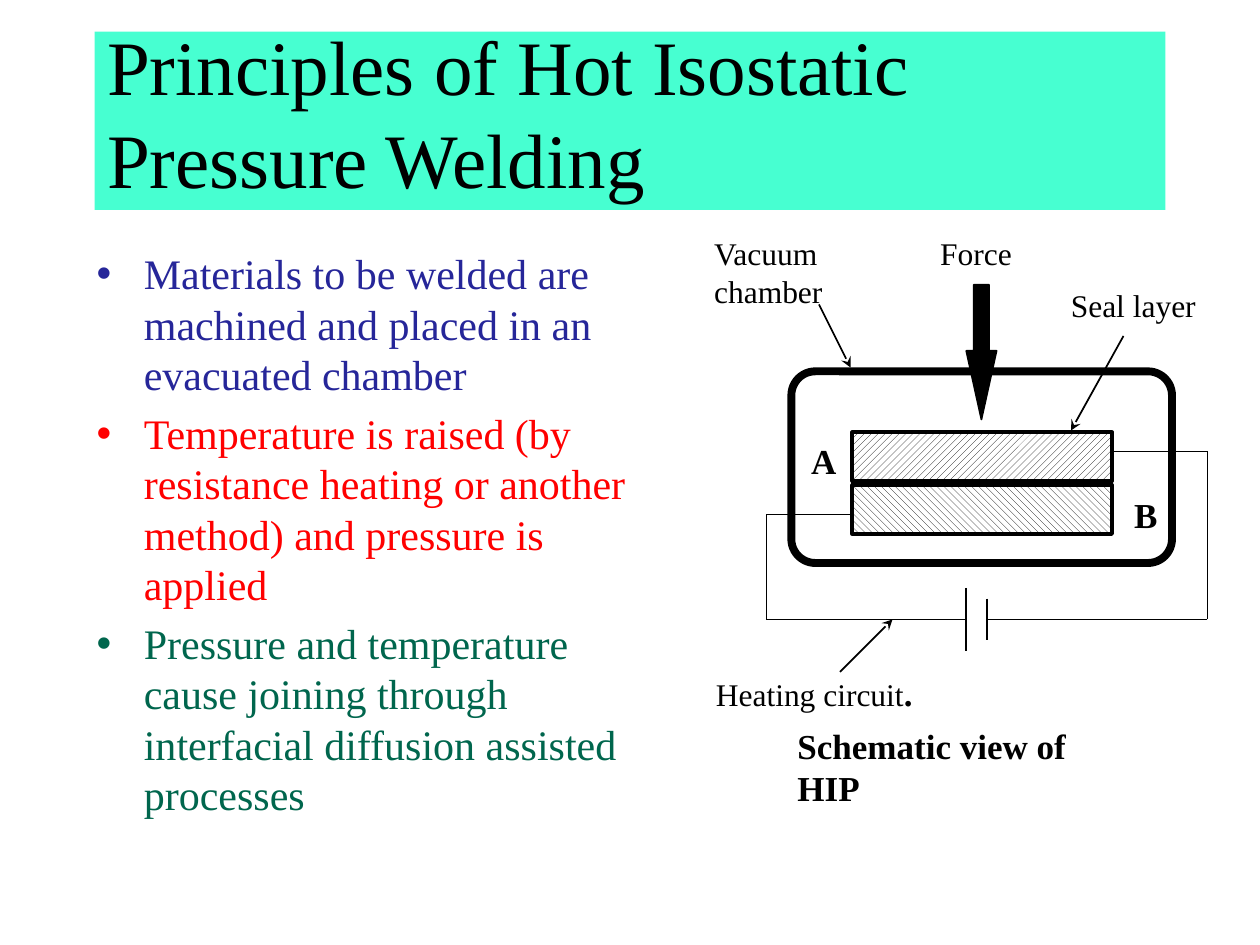
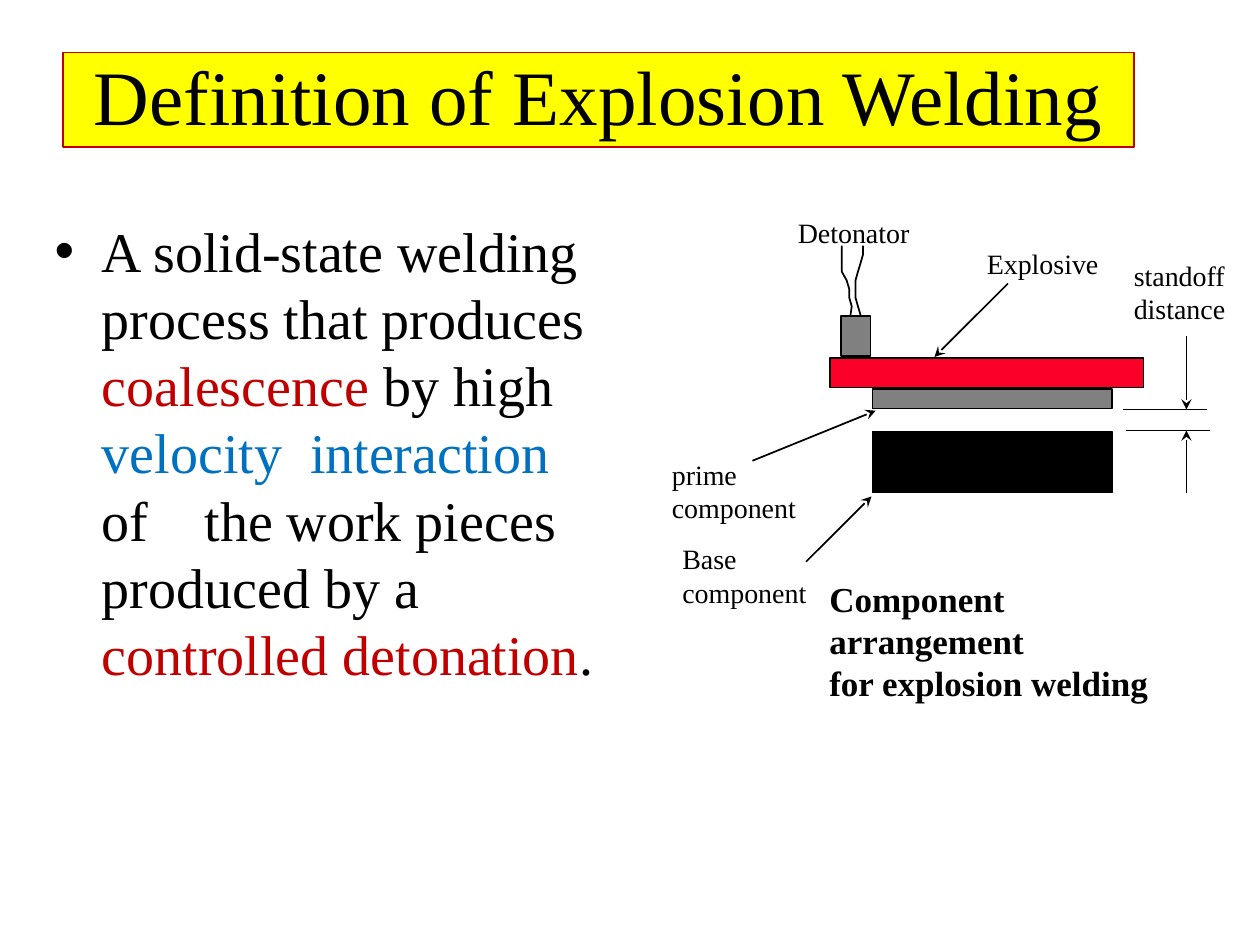
from lxml import etree
from pptx import Presentation
from pptx.dml.color import RGBColor
from pptx.enum.dml import MSO_PATTERN
from pptx.enum.shapes import MSO_CONNECTOR, MSO_SHAPE
from pptx.enum.text import MSO_ANCHOR, MSO_AUTO_SIZE, PP_ALIGN
from pptx.oxml.ns import qn
from pptx.util import Pt

FONT = "Times New Roman"
LEFT, CENTER = PP_ALIGN.LEFT, PP_ALIGN.CENTER
RECTANGLE, ROUNDED, DOWN_ARROW = MSO_SHAPE.RECTANGLE, MSO_SHAPE.ROUNDED_RECTANGLE, MSO_SHAPE.DOWN_ARROW
UPWARD, DOWNWARD = MSO_PATTERN.WIDE_UPWARD_DIAGONAL, MSO_PATTERN.WIDE_DOWNWARD_DIAGONAL
STRAIGHT = MSO_CONNECTOR.STRAIGHT
HEX = {
    "black": "000000", "white": "FFFFFF", "grey": "808080", "mint": "47FFD1",
    "yellow": "FFFF00", "navy": "262699", "red": "FF0000", "green": "00664D",
    "dark red": "C00000", "blue": "0070C0", "explosive": "FC0128",
}
COLORS = {name: RGBColor.from_string(value) for name, value in HEX.items()}


def add_line(page, start, end, width=1, arrow=False):
    """Straight black line; an arrow points at its end."""
    line = page.shapes.add_connector(STRAIGHT, *map(Pt, start + end))
    line.line.color.rgb = COLORS["black"]
    line.line.width = Pt(width)
    properties = line._element.spPr
    if arrow:
        etree.SubElement(properties.find(qn("a:ln")), qn("a:tailEnd"), type="stealth")
    etree.SubElement(properties, qn("a:effectLst"))


def add_label(page, text, frame, size, bold=False, wrap=False, align=LEFT, fill=None):
    box = page.shapes.add_textbox(*map(Pt, frame))
    if fill:
        box.fill.solid()
        box.fill.fore_color.rgb = COLORS[fill]
    box.text_frame.text = text
    box.text_frame.word_wrap = wrap
    box.text_frame.auto_size = MSO_AUTO_SIZE.SHAPE_TO_FIT_TEXT
    for para in box.text_frame.paragraphs:
        para.alignment = align
        for span in para.runs:
            span.font.name, span.font.size, span.font.bold = FONT, Pt(size), bold
            span.font.color.rgb = COLORS["black"]
    return box


deck = Presentation()
deck.slide_width, deck.slide_height = Pt(720), Pt(540)

# Titles and lists: each bullet is a list of coloured spans
contents = [
    {
        "title": "Principles of Hot Isostatic Pressure Welding",
        "title frame": (54, 18, 612, 102), "align": LEFT, "fill": "mint", "line": None,
        "body frame": (48, 138, 335.5, 324), "size": 24,
        "bullets": [
            [("Materials to be welded are machined and placed in an evacuated chamber", "navy")],
            [("Temperature is raised (by resistance heating or another method) "
              "and pressure is applied", "red")],
            [("Pressure and temperature cause joining through  interfacial diffusion "
              "assisted processes", "green")],
        ],
    },
    {
        "title": "Definition of Explosion Welding",
        "title frame": (36, 30, 612, 54), "align": CENTER, "fill": "yellow", "line": "dark red",
        "body frame": (24, 120, 329, 324), "size": 32,
        "bullets": [[
            ("A solid-state welding process that produces ", "black"),
            ("coalescence", "dark red"), (" by high ", "black"),
            ("velocity  interaction ", "blue"),
            ("of    the work pieces produced by a ", "black"),
            ("controlled detonation", "dark red"), (".", "black"),
        ]],
    },
]

pages = []
for content in contents:
    page = deck.slides.add_slide(deck.slide_layouts[1])
    pages.append(page)
    title, body = page.shapes.title, page.placeholders[1]
    for box, frame in ((title, content["title frame"]), (body, content["body frame"])):
        box.left, box.top, box.width, box.height = map(Pt, frame)

    # Title band
    title.fill.solid()
    title.fill.fore_color.rgb = COLORS[content["fill"]]
    if content["line"]:
        title.line.color.rgb = COLORS[content["line"]]
        title.line.width = Pt(0.75)
    title.text_frame.text = content["title"]
    title.text_frame.auto_size = MSO_AUTO_SIZE.NONE
    title.text_frame.vertical_anchor = MSO_ANCHOR.BOTTOM
    para = title.text_frame.paragraphs[0]
    para.alignment = content["align"]
    font = para.runs[0].font
    font.name, font.size, font.color.rgb = FONT, Pt(44), COLORS["black"]

    # Bulleted list
    body.text_frame.auto_size = MSO_AUTO_SIZE.NONE
    for index, bullet in enumerate(content["bullets"]):
        para = body.text_frame.paragraphs[0] if index == 0 else body.text_frame.add_paragraph()
        para_properties = para._p.get_or_add_pPr()
        para_properties.set("marL", str(Pt(27)))
        para_properties.set("indent", str(Pt(-27)))
        for text, color in bullet:
            span = para.add_run()
            span.text = text
            span.font.name, span.font.size = FONT, Pt(content["size"])
            span.font.color.rgb = COLORS[color]

press_page, explosion_page = pages

# Hot isostatic pressing: hatched workpieces
for top, pattern in ((247, UPWARD), (277.2, DOWNWARD)):
    workpiece = press_page.shapes.add_shape(RECTANGLE, Pt(487), Pt(top), Pt(148.5), Pt(28))
    workpiece.shadow.inherit = False
    workpiece.fill.patterned()
    workpiece.fill.pattern = pattern
    workpiece.fill.fore_color.rgb = COLORS["black"]
    workpiece.fill.back_color.rgb = COLORS["white"]
    workpiece.line.color.rgb = COLORS["black"]
    workpiece.line.width = Pt(2)

# Heating circuit with its battery plates
left_wire = [(486, 294), (438, 294), (438, 354), (552, 354)]
right_wire = [(636, 258), (690, 258), (690, 354), (564, 354)]
long_plate, short_plate = [(552, 336), (552, 372)], [(564, 342), (564, 366)]
for route in (left_wire, right_wire, long_plate, short_plate):
    for start, end in zip(route, route[1:]):
        add_line(press_page, start, end)

add_label(press_page, "A", (456.5, 247.7, 22.5, 31), 20, bold=True, wrap=True, fill="white")
add_label(press_page, "B", (641, 278.6, 28, 31), 20, bold=True, fill="white")

# Vacuum chamber and force arrow
chamber = press_page.shapes.add_shape(ROUNDED, Pt(452.2), Pt(212.2), Pt(217.5), Pt(109.5))
chamber.adjustments[0] = 0.125
chamber.fill.background()
chamber.line.width = Pt(4.5)
force = press_page.shapes.add_shape(DOWN_ARROW, Pt(552.2), Pt(162.7), Pt(17.3), Pt(77))
force.adjustments[0], force.adjustments[1] = 0.5, 2.265
force.fill.solid()
force.fill.fore_color.rgb = COLORS["black"]
force.line.width = Pt(1)
for shape in (chamber, force):
    shape.shadow.inherit = False
    shape.line.color.rgb = COLORS["black"]

# Seal layer and pointers
add_line(press_page, (486, 276), (636, 276), width=2)
for start, end in (((642, 192), (612, 246)), ((468, 174), (486, 210)), ((480, 384), (510, 354))):
    add_line(press_page, start, end, arrow=True)

# Labels
add_label(press_page, "Vacuum\nchamber", (401, 130.3, 76.5, 50.5), 18)
add_label(press_page, "Force", (530, 130.3, 55.5, 29), 18, align=CENTER)
add_label(press_page, "Seal layer", (604.8, 160, 85.7, 29), 18)
add_label(press_page, "Schematic view of \vHIP", (448.6, 410.4, 213, 31), 20, bold=True)
circuit = add_label(press_page, "Heating circuit", (402, 380.2, 156, 31), 18, wrap=True)
stop = circuit.text_frame.paragraphs[0].add_run()
stop.text = "."
stop.font.name, stop.font.size, stop.font.bold = FONT, Pt(20), True
stop.font.color.rgb = COLORS["black"]

# Explosion welding: explosive, prime component, base component, detonator
for frame, color in (
    ((474.5, 204.5, 179, 17), "explosive"),
    ((498.5, 222.5, 137, 11), "grey"),
    ((498.5, 246.5, 137, 35), "black"),
    ((480.5, 180.5, 17, 23), "grey"),
):
    part = explosion_page.shapes.add_shape(RECTANGLE, *map(Pt, frame))
    part.shadow.inherit = False
    part.fill.solid()
    part.fill.fore_color.rgb = COLORS[color]
    part.line.color.rgb = COLORS["black"]
    part.line.width = Pt(1)

# Detonator leads rise in equal steps
for lead_xs in (
    (486, 486.7, 485.3, 485.3, 483.8, 481, 481, 481, 481),
    (491.8, 490.3, 488.9, 488.9, 488.9, 490.3, 491.8, 493.2, 493.2),
):
    points = [(Pt(x), Pt(180 - 4.95 * step)) for step, x in enumerate(lead_xs)]
    builder = explosion_page.shapes.build_freeform(*points[0])
    builder.add_line_segments(points[1:], close=False)
    lead = builder.convert_to_shape()
    lead.shadow.inherit = False
    lead.fill.background()
    lead.line.color.rgb = COLORS["black"]
    lead.line.width = Pt(1)

# Standoff distance marks and pointers
add_line(explosion_page, (642, 234), (690, 234))
add_line(explosion_page, (643.5, 246), (691.5, 246))
for start, end in (
    ((678, 192), (678, 234)), ((678, 282), (678, 246)),
    ((430, 263.3), (500.4, 234.7)), ((576, 162), (534, 204)), ((460.6, 321), (498, 283.7)),
):
    add_line(explosion_page, start, end, arrow=True)

# Labels
for text, frame in (
    ("standoff\ndistance", (640.8, 144, 70.5, 46)),
    ("prime\ncomponent", (376.8, 257.8, 85.7, 46)),
    ("Base\ncomponent", (382.8, 306, 85.7, 46)),
    ("Detonator", (448.8, 119.5, 78.5, 26.6)),
    ("Explosive", (556.8, 137.5, 78.5, 26.6)),
):
    add_label(explosion_page, text, frame, 16)
add_label(explosion_page, "Component \varrangement\nfor explosion welding",
          (466.8, 326.2, 202, 79.5), 20, bold=True)

deck.save("out.pptx")
